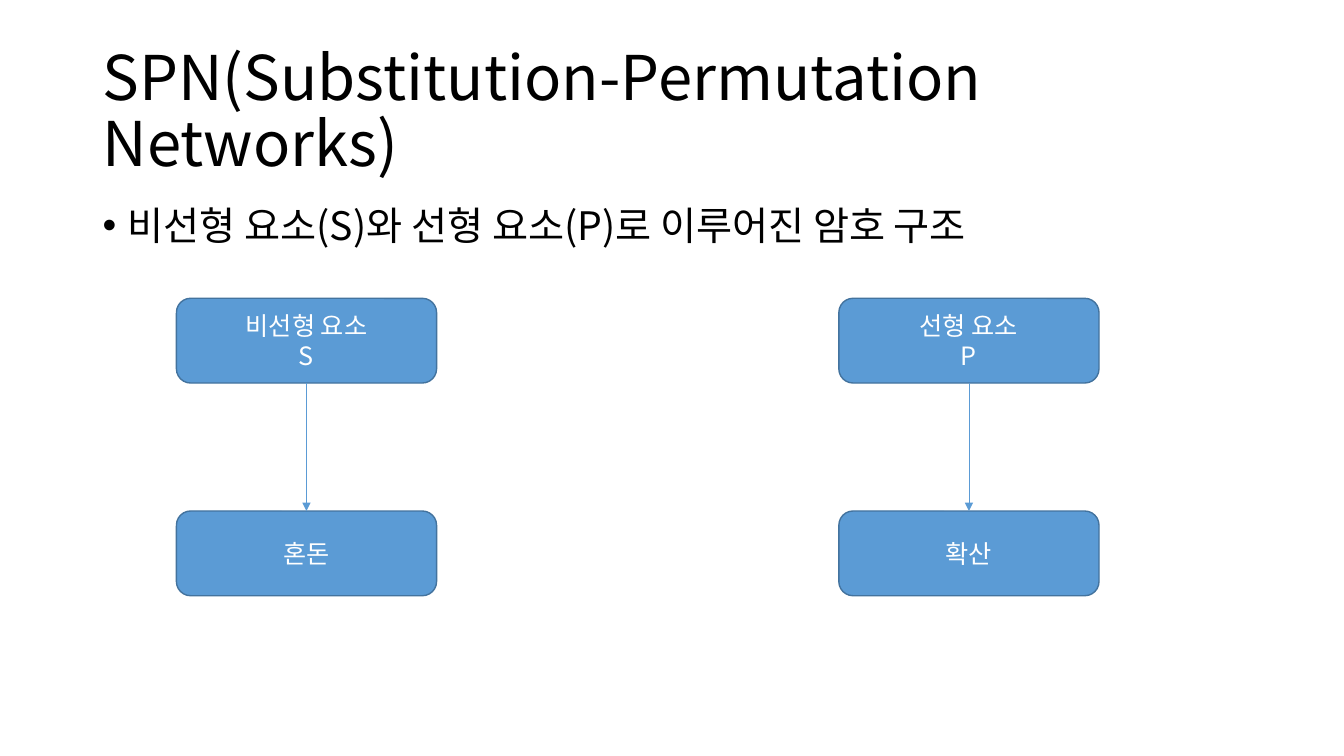
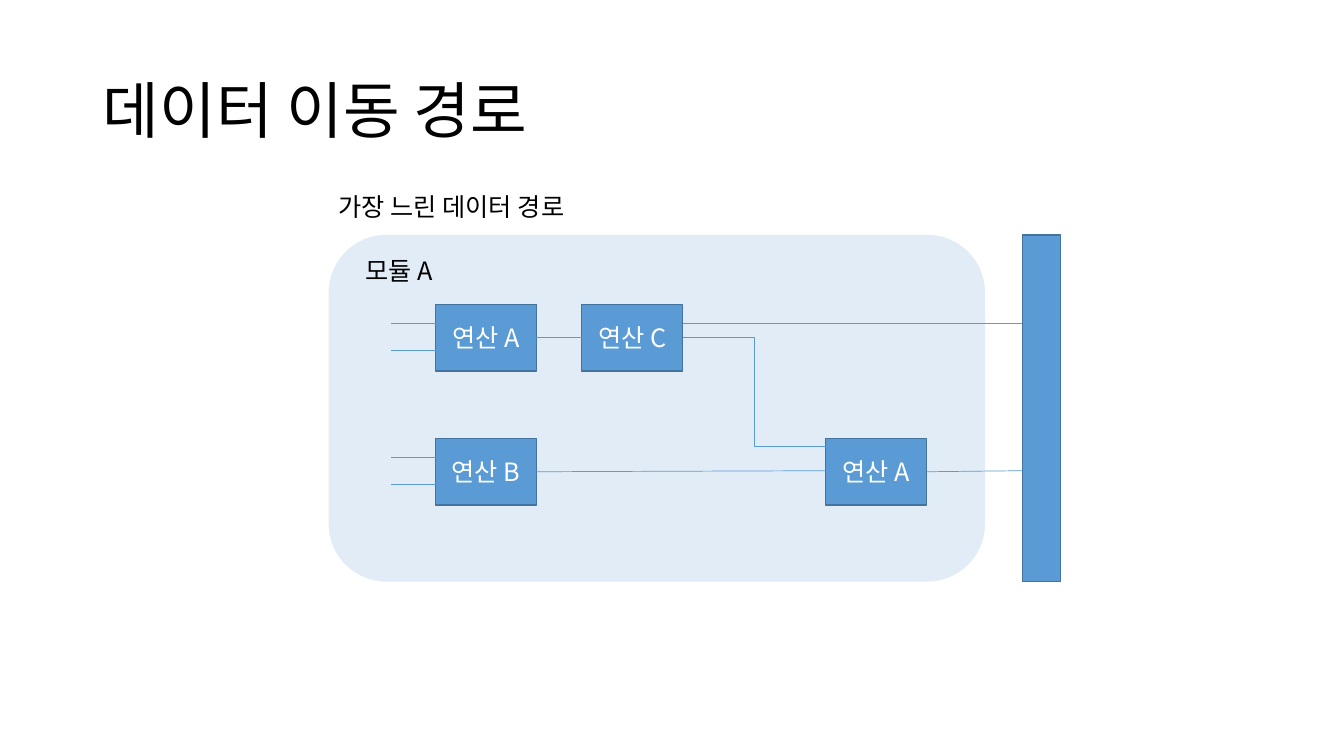
from dataclasses import dataclass

from lxml import etree
from pptx import Presentation
from pptx.dml.color import RGBColor
from pptx.enum import shapes, text
from pptx.oxml import ns
from pptx.util import Inches, Pt

FONT = "Noto Sans CJK KR"
BLUE, EDGE, WHITE, BLACK = "5B9BD5", "43739E", "FFFFFF", "000000"
RECT = shapes.MSO_SHAPE.RECTANGLE
ROUNDED = shapes.MSO_SHAPE.ROUNDED_RECTANGLE
STRAIGHT = shapes.MSO_CONNECTOR.STRAIGHT
ELBOW = shapes.MSO_CONNECTOR.ELBOW
MIDDLE = text.MSO_ANCHOR.MIDDLE


@dataclass
class Box:
    left: float
    top: float
    width: float
    height: float
    label: str = ""
    kind: int = RECT


@dataclass
class Wire:
    start: tuple[float, float]
    end: tuple[float, float]
    kind: int = STRAIGHT
    arrow: bool = False


# Shared helpers
def colour(value: str) -> RGBColor:
    return RGBColor.from_string(value)


def add_xml(parent, tag: str, **attributes: str):
    return etree.SubElement(parent, ns.qn(tag), **attributes)


def write(frame, content: str, size: int, ink: str, **paragraph_format) -> None:
    frame.word_wrap = True
    for index, line in enumerate(content.split("\n")):
        para = frame.add_paragraph() if index else frame.paragraphs[0]
        for name, value in paragraph_format.items():
            setattr(para, name, value)
        span = para.add_run()
        span.text = line
        for name, value in {"name": FONT, "size": Pt(size)}.items():
            setattr(span.font, name, value)
        span.font.color.rgb = colour(ink)
        add_xml(span.font._element, "a:ea", typeface=FONT)


def add_text(page, box: Box, size: int, **paragraph_format):
    area = [Inches(n) for n in (box.left, box.top, box.width, box.height)]
    frame = page.shapes.add_textbox(*area).text_frame
    write(frame, box.label, size, BLACK, **paragraph_format)
    return frame


def add_title(page, label: str) -> None:
    frame = add_text(page, Box(0.92, 0.4, 11.5, 1.45, label), 44, line_spacing=0.9)
    frame.vertical_anchor = MIDDLE


def add_box(page, box: Box):
    area = [Inches(n) for n in (box.left, box.top, box.width, box.height)]
    shape = page.shapes.add_shape(box.kind, *area)
    shape.shadow.inherit = False
    shape.fill.solid()
    shape.fill.fore_color.rgb = colour(BLUE)
    shape.line.color.rgb = colour(EDGE)
    shape.line.width = Pt(1)
    if box.label:
        shape.text_frame.vertical_anchor = MIDDLE
        write(shape.text_frame, box.label, 18, WHITE, alignment=text.PP_ALIGN.CENTER)
    return shape


def add_wire(page, wire: Wire) -> None:
    ends = [Inches(n) for n in (*wire.start, *wire.end)]
    connector = page.shapes.add_connector(wire.kind, *ends)
    connector.line.color.rgb = colour(BLUE)
    connector.line.width = Pt(0.5)
    properties = connector._element.spPr
    if wire.arrow:
        add_xml(properties.find(ns.qn("a:ln")), "a:tailEnd", type="triangle")
    add_xml(properties, "a:effectLst")


# Slide 1: the two elements and their effects
def build_structure(page) -> None:
    add_title(page, "SPN(Substitution-Permutation Networks)")
    summary = "비선형 요소(S)와 선형 요소(P)로 이루어진 암호 구조"
    frame = add_text(page, Box(0.92, 2, 11.5, 4.76, summary), 28, line_spacing=0.9)
    bullet = frame.paragraphs[0]._p.get_or_add_pPr()
    bullet.set("marL", str(Inches(0.25)))
    bullet.set("indent", str(-Inches(0.25)))
    add_xml(bullet, "a:buFont", typeface="Arial")
    add_xml(bullet, "a:buChar", char="•")

    width, height, top, bottom = 2.58, 0.84, 2.96, 5.07
    columns = ((1.75, "비선형 요소\nS", "혼돈"), (8.32, "선형 요소\nP", "확산"))
    for left, element, effect in columns:
        for y, label in ((top, element), (bottom, effect)):
            add_box(page, Box(left, y, width, height, label, ROUNDED))
        centre = left + width / 2
        add_wire(page, Wire((centre, top + height), (centre, bottom), arrow=True))


# Slide 2: data paths through a module
def build_data_path(page) -> None:
    module = add_box(page, Box(3.26, 2.33, 6.51, 3.44, kind=ROUNDED))
    module.line.fill.background()
    add_xml(module.fill.fore_color._xFill.find(ns.qn("a:srgbClr")), "a:alpha", val="18000")
    add_title(page, "데이터 이동 경로")
    add_text(page, Box(3.26, 1.85, 6.27, 0.4, "가장 느린 데이터 경로"), 18)
    add_text(page, Box(3.53, 2.48, 6, 0.4, "모듈 A"), 18)

    width, height, upper, lower = 1, 0.66, 3.02, 4.35
    first, second, last, register = 4.32, 5.77, 8.19, 10.14
    operations = (
        (first, upper, "연산 A"),
        (first, lower, "연산 B"),
        (second, upper, "연산 C"),
        (last, lower, "연산 A"),
    )
    for left, top, label in operations:
        add_box(page, Box(left, top, width, height, label))

    inputs = [
        Wire((first - 0.44, top + drop), (first, top + drop))
        for top in (upper, lower)
        for drop in (0.19, 0.46)
    ]
    upper_mid, lower_mid = upper + height / 2, lower + height / 2
    links = [
        Wire((first + width, upper_mid), (second, upper_mid)),
        Wire((first + width, lower_mid), (last, lower_mid - 0.01)),
        Wire((second + width, upper_mid), (last, lower + 0.08), ELBOW),
        Wire((second + width, upper + 0.19), (register, upper + 0.19)),
        Wire((last + width, lower_mid), (register, lower_mid - 0.01)),
    ]
    for wire in inputs + links:
        add_wire(page, wire)
    add_box(page, Box(register, 2.33, 0.38, 3.44))


def main() -> None:
    deck = Presentation()
    deck.slide_width, deck.slide_height = Inches(13.33), Inches(7.5)
    for build in (build_structure, build_data_path):
        build(deck.slides.add_slide(deck.slide_layouts[6]))
    deck.save("out.pptx")


if __name__ == "__main__":
    main()
